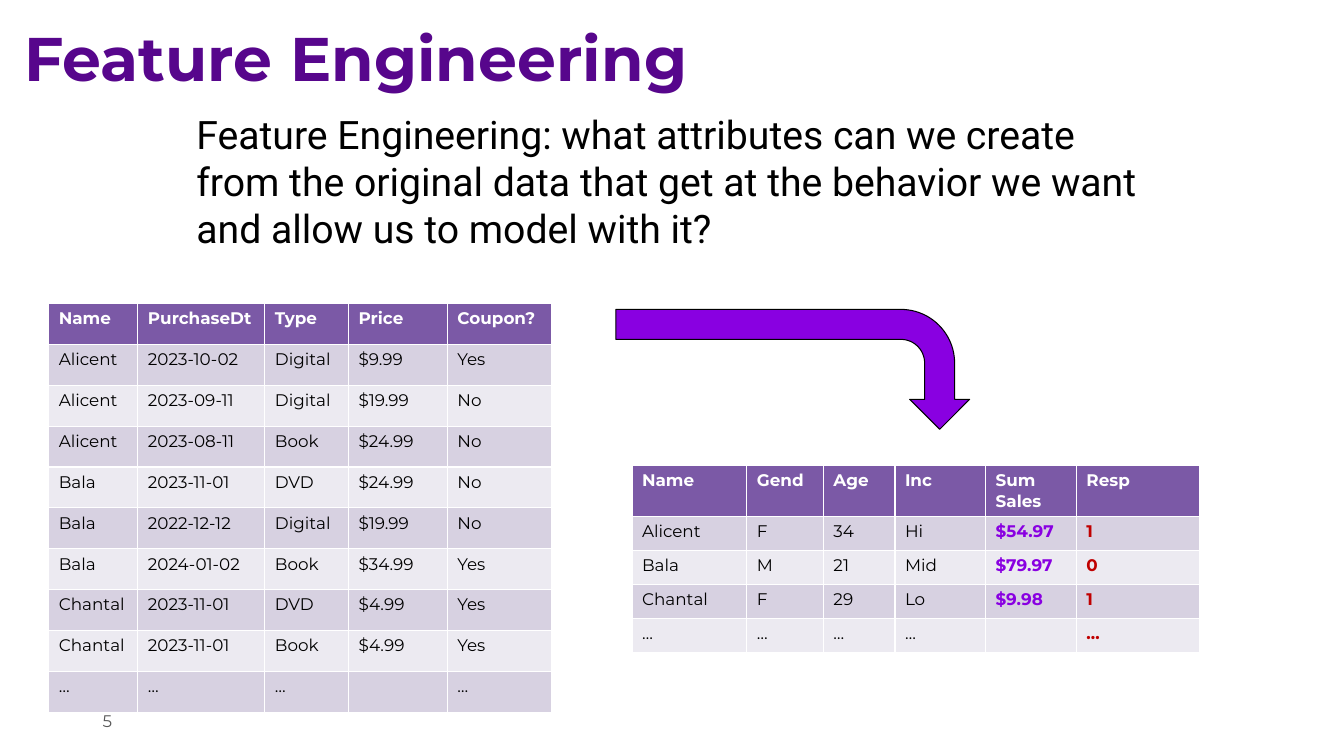
from pptx import Presentation
from pptx.dml.color import RGBColor
from pptx.enum import shapes, text
from pptx.util import Pt

TITLE_PURPLE = RGBColor(0x57, 0x06, 0x8C)
VIVID_PURPLE = RGBColor(0x89, 0x00, 0xE1)
HEADER_PURPLE = RGBColor(0x7B, 0x59, 0xA6)
BAND_DARK = RGBColor(0xD7, 0xD1, 0xE1)
BAND_LIGHT = RGBColor(0xEC, 0xEA, 0xF1)
RED = RGBColor(0xC0, 0x00, 0x00)
GRAY = RGBColor(0x59, 0x59, 0x59)
BLACK = RGBColor(0, 0, 0)
WHITE = RGBColor(0xFF, 0xFF, 0xFF)


def style(paragraph, size, color, bold=False, name="Montserrat"):
    font = paragraph.font
    font.size, font.bold, font.name = Pt(size), bold, name
    font.color.rgb = color


def add_data_table(left, top, widths, heights, rows, accents):
    frame = slide.shapes.add_table(len(rows), len(widths), Pt(left), Pt(top),
                                   Pt(sum(widths)), Pt(sum(heights)))
    table = frame.table
    for column, width in zip(table.columns, widths):
        column.width = Pt(width)
    for r, values in enumerate(rows):
        table.rows[r].height = Pt(heights[r])
        for c, value in enumerate(values):
            cell = table.cell(r, c)
            cell.text = value
            cell.fill.solid()
            if r == 0:
                cell.fill.fore_color.rgb = HEADER_PURPLE
                color = WHITE
            else:
                cell.fill.fore_color.rgb = BAND_DARK if r % 2 else BAND_LIGHT
                color = accents.get(c, BLACK)
            paragraph = cell.text_frame.paragraphs[0]
            style(paragraph, 12, color, r == 0 or c in accents)
            if not value:
                paragraph._p.get_or_add_endParaRPr().set("sz", "1200")


deck = Presentation()
deck.slide_width, deck.slide_height = Pt(960), Pt(540)
slide = deck.slides.add_slide(deck.slide_layouts[5])

title = slide.shapes.title
title.left, title.top, title.width, title.height = Pt(10), Pt(0), Pt(828), Pt(88.5)
title.text_frame.text = "Feature Engineering"
title.text_frame.vertical_anchor = text.MSO_ANCHOR.MIDDLE
heading = title.text_frame.paragraphs[0]
heading.alignment = text.PP_ALIGN.LEFT
heading.line_spacing = 0.9
style(heading, 44, TITLE_PURPLE, True)

question = slide.shapes.add_textbox(Pt(133.2), Pt(75), Pt(693.4), Pt(166.3)).text_frame
question.word_wrap = True
question.text = ("Feature Engineering: what attributes can we create from the original data "
                 "that get at the behavior we want and allow us to model with it?")
style(question.paragraphs[0], 28, BLACK, name="Roboto")

page_number = slide.shapes.add_textbox(Pt(66.2), Pt(500.4), Pt(106.6), Pt(28.8)).text_frame
page_number.word_wrap = True
page_number.vertical_anchor = text.MSO_ANCHOR.MIDDLE
page_number.text = "5"
style(page_number.paragraphs[0], 12, GRAY)

purchases = [
    ("Name", "PurchaseDt", "Type", "Price", "Coupon?"),
    ("Alicent", "2023-10-02", "Digital", "$9.99", "Yes"),
    ("Alicent", "2023-09-11", "Digital", "$19.99", "No"),
    ("Alicent", "2023-08-11", "Book", "$24.99", "No"),
    ("Bala", "2023-11-01", "DVD", "$24.99", "No"),
    ("Bala", "2022-12-12", "Digital", "$19.99", "No"),
    ("Bala", "2024-01-02", "Book", "$34.99", "Yes"),
    ("Chantal", "2023-11-01", "DVD", "$4.99", "Yes"),
    ("Chantal", "2023-11-01", "Book", "$4.99", "Yes"),
    ("…", "…", "…", "", "…"),
]
add_data_table(34.8, 216.8, [63.7, 90.7, 59.8, 70.6, 74.5], [29.2] * 10, purchases, {})

customers = [
    ("Name", "Gend", "Age", "Inc", "Sum\vSales", "Resp"),
    ("Alicent", "F", "34", "Hi", "$54.97", "1"),
    ("Bala", "M", "21", "Mid", "$79.97", "0"),
    ("Chantal", "F", "29", "Lo", "$9.98", "1"),
    ("…", "…", "…", "…", "", "…"),
]
add_data_table(451.4, 332.4, [82.1, 54.7, 51.1, 64.8, 64.8, 87.8], [36.4] + [24.3] * 4,
               customers, {4: VIVID_PURPLE, 5: RED})

bent_arrow = slide.shapes.add_shape(shapes.MSO_SHAPE.BENT_ARROW,
                                    Pt(523.4), Pt(137.5), Pt(85.7), Pt(252.7))
bent_arrow.rotation = 90
bent_arrow.adjustments[3] = 0.448
bent_arrow.shadow.inherit = False
bent_arrow.fill.solid()
bent_arrow.fill.fore_color.rgb = VIVID_PURPLE
bent_arrow.line.color.rgb = BLACK
bent_arrow.line.width = Pt(0.75)

deck.save("out.pptx")
